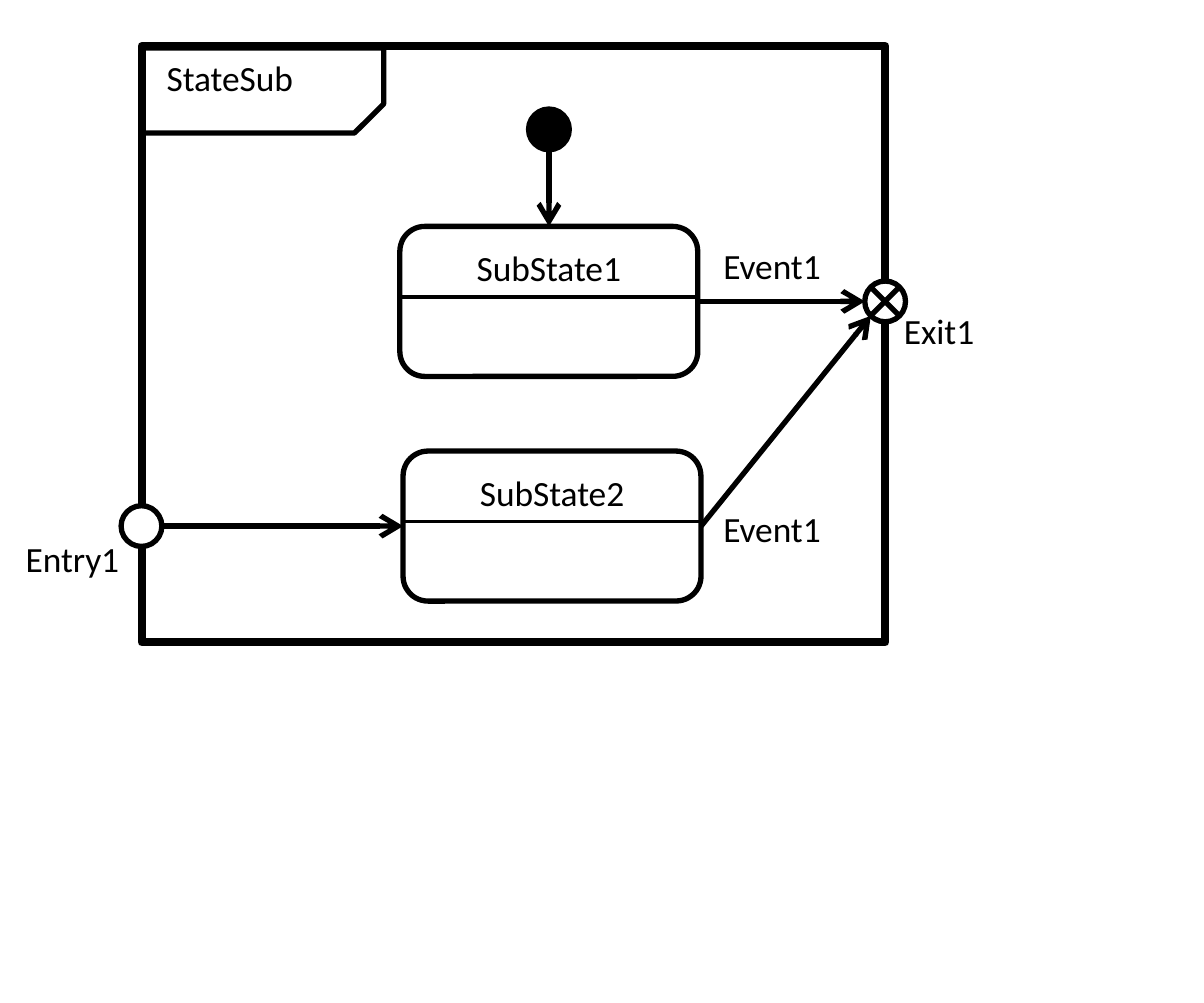
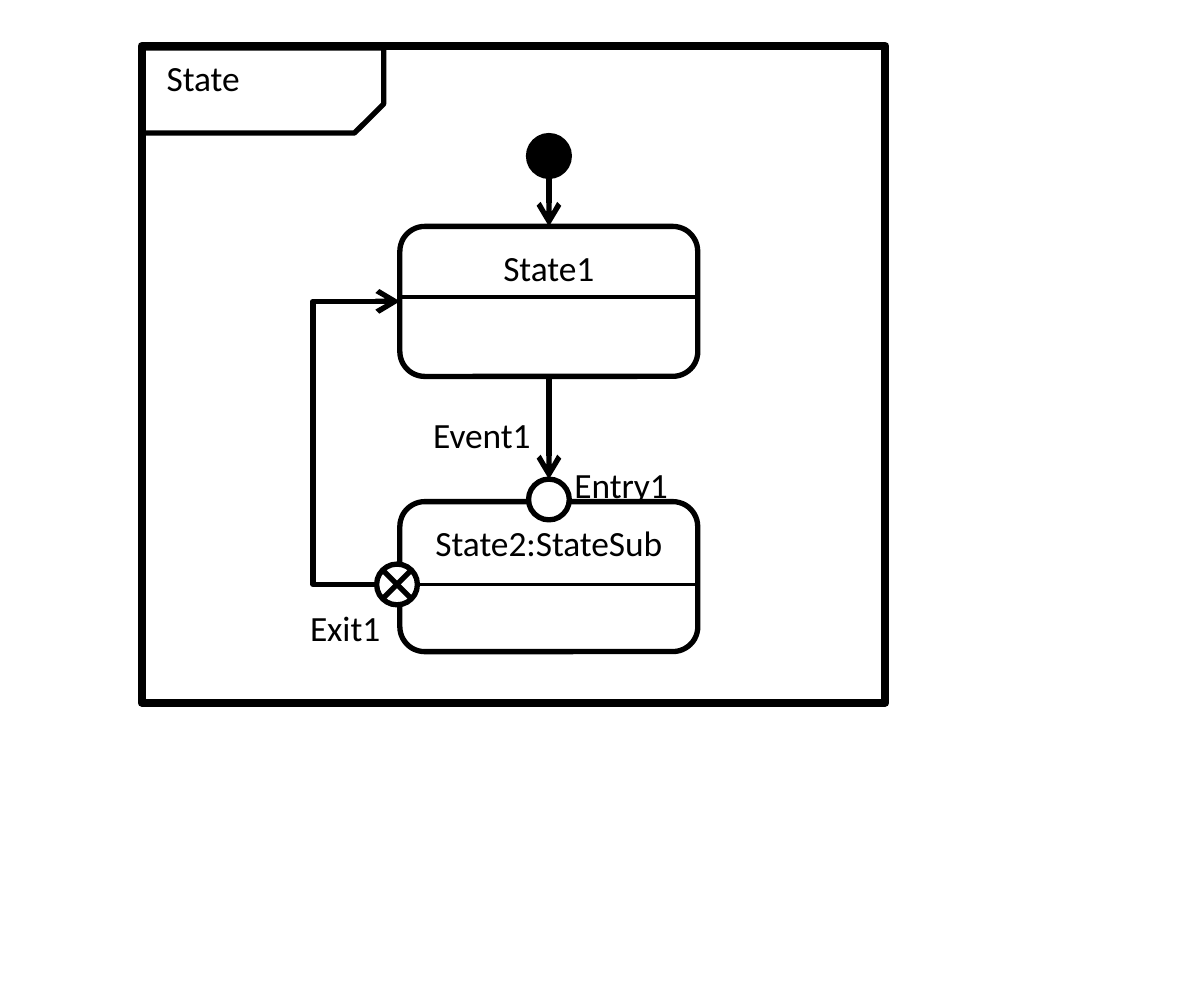
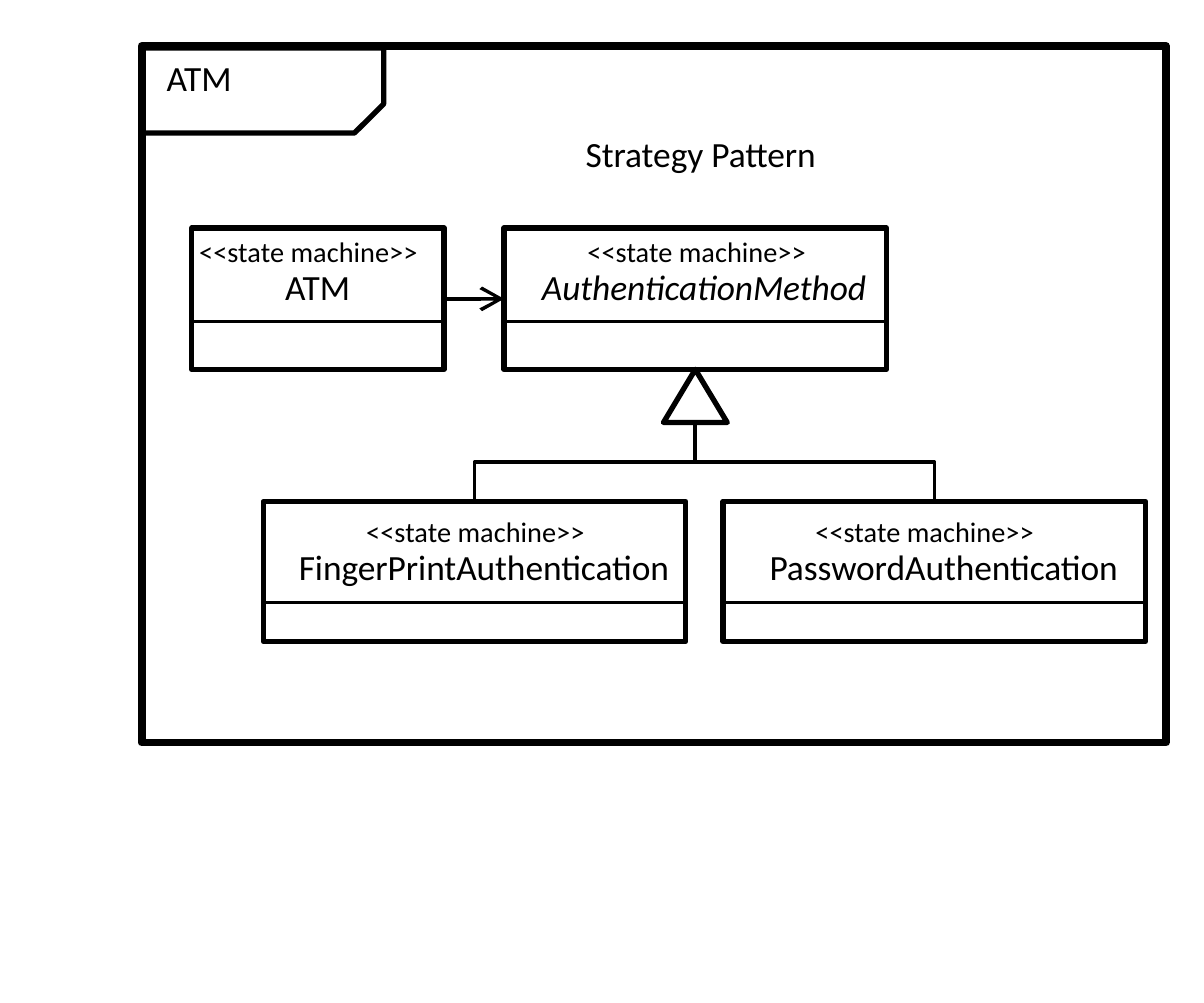
from math import sqrt

from lxml import etree
from pptx import Presentation
from pptx.dml.color import RGBColor
from pptx.enum.shapes import MSO_CONNECTOR, MSO_SHAPE
from pptx.enum.text import MSO_ANCHOR, MSO_AUTO_SIZE, PP_ALIGN
from pptx.oxml.ns import qn
from pptx.util import Pt

STRAIGHT, ELBOW = MSO_CONNECTOR.STRAIGHT, MSO_CONNECTOR.ELBOW
RECTANGLE, ROUNDED = MSO_SHAPE.RECTANGLE, MSO_SHAPE.ROUNDED_RECTANGLE
SNIPPED, TRIANGLE = MSO_SHAPE.SNIP_1_RECTANGLE, MSO_SHAPE.ISOSCELES_TRIANGLE
CIRCLE, CROSSED_CIRCLE = MSO_SHAPE.FLOWCHART_CONNECTOR, MSO_SHAPE.FLOWCHART_SUMMING_JUNCTION
ANCHOR_TOP = MSO_ANCHOR.TOP
FIT_SHAPE = MSO_AUTO_SIZE.SHAPE_TO_FIT_TEXT
LEFT, CENTER = PP_ALIGN.LEFT, PP_ALIGN.CENTER
TOP_SIDE, LEFT_SIDE, BOTTOM_SIDE, RIGHT_SIDE = range(4)

COLORS = {"ink": "000000", "paper": "FFFFFF"}
FONT = "Calibri"
SLIDE_SIZE = (340.16, 283.46)
FRAME_LEFT, FRAME_TOP = 40, 13
TAB_SIZE = (68.4, 24)
STATE_SIZE = (84.2, 42.4)
CIRCLE_SIZE = 11.5
LABEL_HEIGHT = 19.4
STEREOTYPE = "<<state machine>>"
STEREOTYPE_WIDTH = 81.4

STATE_MACHINES = [
    {
        "name": "StateSub",
        "frame": (210.2, 168.6),
        "states": [("SubState1", 113, 64, 84), ("SubState2", 113.9, 127.5, 147.4)],
        "start": (155.1, 36.6),
        "entry": (40, 148.7),
        "exit": (250.1, 85.2),
        "labels": [
            ("Entry1", 0.2, 148.4, 52.6),
            ("Exit1", 248.3, 83.7, 39.6),
            ("Event1", 197.3, 65.6, 52.6),
            ("Event1", 197.3, 139.7, 52.6),
        ],
    },
    {
        "name": "State",
        "frame": (210.2, 185.6),
        "states": [("State1", 113, 64, 84), ("State2:StateSub", 113, 141.8, 165.2)],
        "start": (155.1, 44.1),
        "entry": (155.1, 141.2),
        "exit": (112.2, 165.2),
        "labels": [
            ("Event1", 115.3, 113.1, 68.4),
            ("Exit1", 80.5, 167.8, 39.6),
            ("Entry1", 155.2, 127.4, 49),
        ],
    },
]
RETURN_LANE = 88.4

CLASS_ROWS = [
    {
        "top": 64.5, "height": 39.9, "divider": 90.8, "stereotype_top": 62.6, "name_top": 71.3,
        "line": 1.5,
        "classes": [
            {"name": "ATM", "left": 54.2, "width": 71.3, "name_at": (67, 45.4),
             "stereotype": (49.2, LEFT), "italic": False},
            {"name": "AuthenticationMethod", "left": 142.4, "width": 108.1, "name_at": (142.4, 113),
             "stereotype": (156.2, CENTER), "italic": True},
        ],
    },
    {
        "top": 141.7, "height": 39.6, "divider": 170.2, "stereotype_top": 141.8, "name_top": 150.5,
        "line": 1.5,
        "classes": [
            {"name": "FingerPrintAuthentication", "left": 74.4, "width": 119.4,
             "name_at": (74.4, 124.6), "stereotype": (96.4, LEFT), "italic": False},
            {"name": "PasswordAuthentication", "left": 204.3, "width": 119.4,
             "name_at": (204.3, 124.6), "stereotype": (223.3, LEFT), "italic": False},
        ],
    },
]
CLASS_FRAME = (289.4, 196.9)
PATTERN_LABEL = ("Strategy Pattern", 158.4, 33.9, 82.1)
TRIANGLE_SIZE = (18, 15)


def color(name):
    return RGBColor.from_string(COLORS[name])


def set_attributes(target, values):
    for name, value in values.items():
        setattr(target, name, value)


def write_text(shape, text, size=10, align=LEFT, italic=False):
    set_attributes(shape.text_frame, {"word_wrap": True, "vertical_anchor": ANCHOR_TOP})
    paragraph = shape.text_frame.paragraphs[0]
    paragraph.text = text
    paragraph.alignment = align
    set_attributes(paragraph.font, {"name": FONT, "size": Pt(size), "italic": italic})
    paragraph.font.color.rgb = color("ink")


def add_label(slide, text, left, top, width, height=LABEL_HEIGHT, **style):
    box = slide.shapes.add_textbox(Pt(left), Pt(top), Pt(width), Pt(height))
    write_text(box, text, **style)
    box.text_frame.auto_size = FIT_SHAPE


def add_outline(slide, kind, left, top, width, height, weight=1.5, fill=None):
    shape = slide.shapes.add_shape(kind, Pt(left), Pt(top), Pt(width), Pt(height))
    shape.shadow.inherit = False
    if fill:
        shape.fill.solid()
        shape.fill.fore_color.rgb = color(fill)
    else:
        shape.fill.background()
    set_attributes(shape.line, {"width": Pt(weight)})
    shape.line.color.rgb = color("ink")
    return shape


def add_circle(slide, center, fill, kind=CIRCLE):
    left, top = (value - CIRCLE_SIZE / 2 for value in center)
    add_outline(slide, kind, left, top, CIRCLE_SIZE, CIRCLE_SIZE, fill=fill)


def add_line(slide, begin, end, weight=1.5, arrow=False, kind=STRAIGHT,
             begin_join=None, end_join=None):
    connector = slide.shapes.add_connector(kind, *(Pt(value) for value in (*begin, *end)))
    if begin_join:
        connector.begin_connect(*begin_join)
    if end_join:
        connector.end_connect(*end_join)
    connector.line.width = Pt(weight)
    connector.line.color.rgb = color("ink")
    if arrow:
        etree.SubElement(connector.line._get_or_add_ln(), qn("a:tailEnd"), type="arrow")
    etree.SubElement(connector._element.spPr, qn("a:effectLst"))
    return connector


def add_return_path(slide, begin, end, lane):
    connector = add_line(slide, begin, end, arrow=True, kind=ELBOW)
    ratio = (lane - begin[0]) / (end[0] - begin[0])
    geometry = connector._element.spPr.find(qn("a:prstGeom"))
    guides = geometry.find(qn("a:avLst"))
    etree.SubElement(guides, qn("a:gd"), name="adj1", fmla=f"val {round(ratio * 100000)}")


def add_branch(slide, begin, end):
    middle_x, middle_y = (begin[0] + end[0]) / 2, (begin[1] + end[1]) / 2
    half_run, half_rise = abs(end[0] - begin[0]) / 2, abs(end[1] - begin[1]) / 2
    side = 1 if begin[0] < end[0] else -1
    connector = add_line(
        slide,
        (middle_x + side * half_rise, middle_y + half_run),
        (middle_x - side * half_rise, middle_y - half_run),
        weight=1, kind=ELBOW)
    degrees = 90 if side == 1 else 270
    connector._element.spPr.find(qn("a:xfrm")).set("rot", str(degrees * 60000))


def add_frame(slide, name, width, height):
    add_outline(slide, RECTANGLE, FRAME_LEFT, FRAME_TOP, width, height, weight=2.25)
    tab = add_outline(slide, SNIPPED, FRAME_LEFT, FRAME_TOP + 0.6, *TAB_SIZE)
    tab.adjustments[0] = 0.343
    tab._element.spPr.find(qn("a:xfrm")).set("flipV", "1")
    add_label(slide, name, FRAME_LEFT, FRAME_TOP - 0.7, TAB_SIZE[0])


def add_state(slide, name, left, top, divider):
    state = add_outline(slide, ROUNDED, left, top, *STATE_SIZE)
    write_text(state, name, align=CENTER)
    add_line(slide, (left, divider), (left + STATE_SIZE[0], divider), weight=1)
    return state


def add_state_machine(slide, machine):
    add_frame(slide, machine["name"], *machine["frame"])
    first, second = (add_state(slide, *state) for state in machine["states"])
    radius = CIRCLE_SIZE / 2
    (start_x, start_y), entry, leave = machine["start"], machine["entry"], machine["exit"]
    add_line(slide, (start_x, start_y + radius), (start_x, first.top.pt),
             arrow=True, end_join=(first, TOP_SIDE))
    add_circle(slide, machine["start"], "ink")
    add_circle(slide, entry, "paper")
    add_circle(slide, leave, "paper", CROSSED_CIRCLE)
    for label in machine["labels"]:
        add_label(slide, *label)
    return first, second, entry, leave, radius


def build_sub_machine(slide):
    first, second, entry, leave, radius = add_state_machine(slide, STATE_MACHINES[0])
    diagonal = radius / sqrt(2)
    add_line(slide, (entry[0] + radius, entry[1]), entry,
             arrow=True, end_join=(second, LEFT_SIDE))
    for state, target in (
        (first, (leave[0] - radius, leave[1])),
        (second, (leave[0] - diagonal, leave[1] + diagonal)),
    ):
        add_line(slide, target, target, arrow=True, begin_join=(state, RIGHT_SIDE))


def build_main_machine(slide):
    first, second, entry, leave, radius = add_state_machine(slide, STATE_MACHINES[1])
    target = (entry[0], entry[1] - radius)
    add_line(slide, target, target, arrow=True, begin_join=(first, BOTTOM_SIDE))
    add_return_path(slide, (leave[0] - radius, leave[1]),
                    (first.left.pt, first.top.pt + STATE_SIZE[1] / 2), RETURN_LANE)


def add_class(slide, row, item):
    left, width = item["left"], item["width"]
    box = add_outline(slide, RECTANGLE, left, row["top"], width, row["height"], row["line"])
    add_line(slide, (left, row["divider"]), (left + width, row["divider"]), weight=0.75)
    name_left, name_width = item["name_at"]
    add_label(slide, item["name"], name_left, row["name_top"], name_width,
              align=CENTER, italic=item["italic"])
    stereotype_left, align = item["stereotype"]
    add_label(slide, STEREOTYPE, stereotype_left, row["stereotype_top"], STEREOTYPE_WIDTH,
              height=17, size=8, align=align)
    return box


def build_class_diagram(slide):
    add_frame(slide, "ATM", *CLASS_FRAME)
    add_label(slide, *PATTERN_LABEL)
    (machine, method), children = (
        [add_class(slide, row, item) for item in row["classes"]] for row in CLASS_ROWS)
    add_line(slide, (0, 0), (0, 0), weight=1, arrow=True,
             begin_join=(machine, RIGHT_SIDE), end_join=(method, LEFT_SIDE))
    width, height = TRIANGLE_SIZE
    center = method.left.pt + method.width.pt / 2
    top = method.top.pt + method.height.pt
    add_outline(slide, TRIANGLE, center - width / 2, top, width, height, fill="paper")
    for child in children:
        add_branch(slide, (child.left.pt + child.width.pt / 2, child.top.pt),
                   (center, top + height))


def main():
    presentation = Presentation()
    presentation.slide_width, presentation.slide_height = (Pt(value) for value in SLIDE_SIZE)
    blank_layout = presentation.slide_layouts[6]
    for build in (build_sub_machine, build_main_machine, build_class_diagram):
        build(presentation.slides.add_slide(blank_layout))
    presentation.save("out.pptx")


if __name__ == "__main__":
    main()
